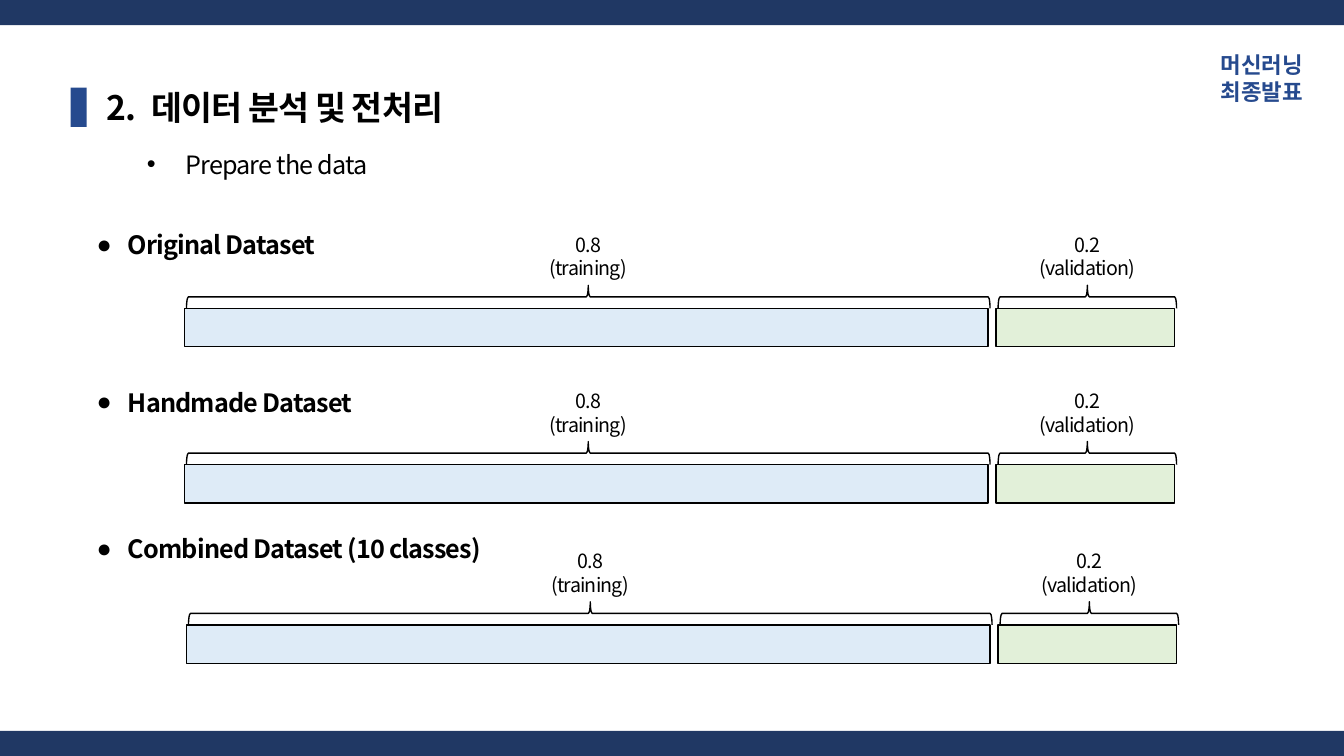
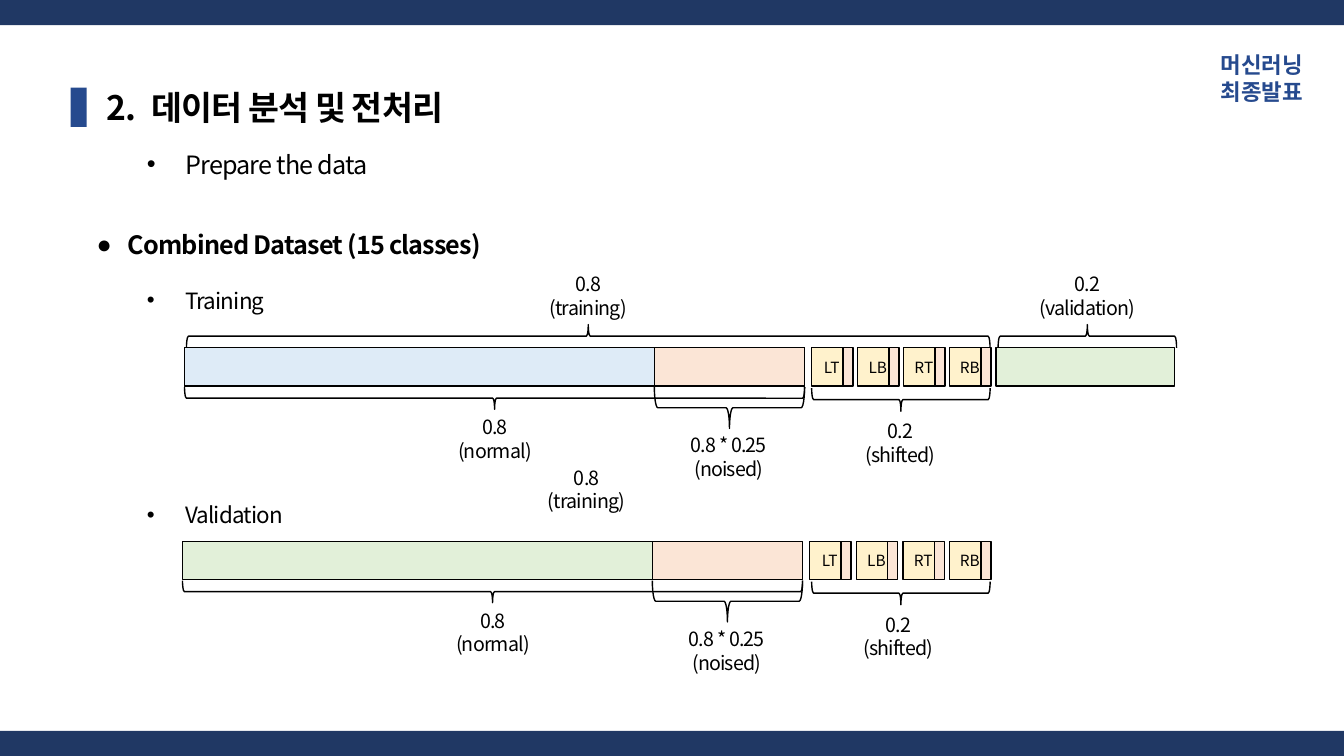
from lxml import etree
from pptx import Presentation
from pptx.dml.color import RGBColor
from pptx.enum.shapes import MSO_SHAPE
from pptx.enum.text import MSO_ANCHOR, MSO_AUTO_SIZE, PP_ALIGN
from pptx.oxml.ns import qn
from pptx.util import Inches, Pt

RECT = MSO_SHAPE.RECTANGLE
BRACE = MSO_SHAPE.RIGHT_BRACE
LEFT, MID, RIGHT = PP_ALIGN.LEFT, PP_ALIGN.CENTER, PP_ALIGN.RIGHT
MIDDLE = MSO_ANCHOR.MIDDLE
GROW = MSO_AUTO_SIZE.SHAPE_TO_FIT_TEXT
FONT = "Noto Sans CJK KR"
NAVY, ROYAL, BLACK = "203864", "264A8E", "000000"
BLUE, GREEN, PINK, CREAM = "DEEBF7", "E2F0D9", "FBE5D6", "FFF2CC"
WIDE, HIGH = 13.33, 7.5
BAR, LONG, SHORT = 0.38, 7.97, 1.77
NORMAL, NOISED, TILE, STRIP = 6.15, 1.49, 0.4, 0.1


def rgb(code):
    return RGBColor.from_string(code)


class Deck:
    """Holds the shared style and the current slide."""

    def __init__(self):
        self.prs = Presentation()
        self.prs.slide_width = Inches(WIDE)
        self.prs.slide_height = Inches(HIGH)
        self.slide = None

    def page(self):
        self.slide = self.prs.slides.add_slide(self.prs.slide_layouts[6])
        for top in (0, HIGH - 0.25):
            self.rect(0, top, WIDE, 0.25, NAVY, False)
        self.rect(0.7, 0.87, 0.16, 0.39, ROYAL, False)
        para = self.box(11.18, 0.46, 1.84, 0.37, False).paragraphs[0]
        para.alignment = RIGHT
        self.run(para, "머신러닝", 16, True, ROYAL, 0)
        para.add_line_break()
        self.run(para, "최종발표", 16, True, ROYAL, 0)
        para = self.box(0.96, 0.81, 6.67, 0.5).paragraphs[0]
        self.indent(para, 0.44, 0.44)
        self.run(para, "2.\t데이터 분석 및 전처리", 24, True)
        self.point(self.box(0.86, 1.13, 6.66, 0.62).paragraphs[0], "Prepare the data", 18)

    def shape(self, kind, x, y, w, h):
        item = self.slide.shapes.add_shape(kind, Inches(x), Inches(y), Inches(w), Inches(h))
        item.shadow.inherit = False
        item.line.color.rgb = rgb(BLACK)
        item.line.width = Pt(1)
        return item

    def rect(self, x, y, w, h, fill, edge=True):
        item = self.shape(RECT, x, y, w, h)
        item.fill.solid()
        item.fill.fore_color.rgb = rgb(fill)
        if not edge:
            item.line.fill.background()
        return item

    def brace(self, x, y, w, h, up=False):
        item = self.shape(BRACE, x + (w - h) / 2, y + (h - w) / 2, h, w)
        item.fill.background()
        item.rotation = 90
        if up:
            item._element.spPr.find(qn("a:xfrm")).set("flipH", "1")

    def box(self, x, y, w, h, wrap=True):
        frame = self.slide.shapes.add_textbox(Inches(x), Inches(y), Inches(w), Inches(h)).text_frame
        frame.word_wrap = wrap
        frame.auto_size = GROW
        return frame

    def run(self, para, text, size, bold=False, color=BLACK, space=-60):
        run = para.add_run()
        run.text = text
        font = run.font
        font.name, font.size, font.bold = FONT, Pt(size), bold
        font.color.rgb = rgb(color)
        props = run._r.get_or_add_rPr()
        etree.SubElement(props, qn("a:ea"), typeface=FONT)
        if space:
            props.set("spc", str(space))

    def indent(self, para, left, hang):
        props = para._p.get_or_add_pPr()
        props.set("marL", str(Inches(left)))
        props.set("indent", str(-Inches(hang)))
        return props

    def bullet(self, para, mark, left, hang):
        props = self.indent(para, left, hang)
        etree.SubElement(props, qn("a:buFont"), typeface="Arial")
        etree.SubElement(props, qn("a:buChar"), char=mark)
        para.line_spacing = 2.0

    def point(self, para, text, size):
        para.level = 1
        self.bullet(para, "•", 0.88, 0.38)
        self.run(para, text, size)

    def head(self, y, text):
        frame = self.box(0.86, y, 6.67, 0.62)
        self.bullet(frame.paragraphs[0], "●", 0.31, 0.31)
        self.run(frame.paragraphs[0], text, 18, True)
        return frame

    def label(self, mid, y, share, name):
        frame = self.box(mid - 0.6, y, 1.2, 0.57)
        for para, text in ((frame.paragraphs[0], share), (frame.add_paragraph(), f"({name})")):
            para.alignment = MID
            self.run(para, text, 14)

    def split(self, x, y, blue=LONG):
        parts = ((x, LONG, blue, BLUE, "0.8", "training"),
                 (x + 8.05, SHORT, SHORT, GREEN, "0.2", "validation"))
        for left, span, width, fill, share, name in parts:
            self.rect(left, y, width, BAR, fill)
            self.brace(left + 0.02, y - 0.23, span, 0.23, True)
            self.label(left + span / 2 + 0.02, y - 0.8, share, name)

    def tile(self, x, y, name):
        item = self.rect(x, y, TILE, BAR, CREAM)
        frame = item.text_frame
        frame.word_wrap = False
        frame.vertical_anchor = MIDDLE
        frame.paragraphs[0].alignment = MID
        self.run(frame.paragraphs[0], name, 11, space=0)
        self.rect(x + 0.31, y, STRIP, BAR, PINK)

    def mix(self, x, y, fill):
        noise, first, last = x + 4.66, x + 6.22, 9.42
        self.rect(x, y, NORMAL, BAR, fill)
        self.rect(noise, y, NOISED, BAR, PINK)
        for i, name in enumerate(("LT", "LB", "RT", "RB")):
            self.tile(first + i * (last - first) / 3, y, name)
        self.brace(x, y + 0.39, NORMAL, 0.22)
        self.brace(noise, y + 0.39, NOISED, 0.41)
        self.brace(8.05, y + 0.4, SHORT, 0.23)
        self.label(x + 3.08, y + 0.62, "0.8", "normal")
        self.label(x + 5.4, y + 0.8, "0.8 * 0.25", "noised")
        self.label(x + 7.1, y + 0.66, "0.2", "shifted")


def main():
    deck = Deck()
    deck.page()
    rows = ((1.93, "Original Dataset", 1.83, 3.06),
            (3.49, "Handmade Dataset", 1.83, 4.61),
            (4.94, "Combined Dataset (10 classes)", 1.85, 6.2))
    for top, title, x, y in rows:
        deck.head(top, title)
        deck.split(x, y)

    deck.page()
    frame = deck.head(1.93, "Combined Dataset (15 classes)")
    for name, gap in (("Training", 0), ("Validation", 115)):
        para = frame.add_paragraph()
        deck.point(para, name, 16)
        para.space_before = Pt(gap)
    deck.split(1.83, 3.45, NORMAL)
    deck.mix(1.83, 3.45, BLUE)
    deck.label(5.82, 4.57, "0.8", "training")
    deck.mix(1.81, 5.37, GREEN)
    deck.prs.save("out.pptx")


if __name__ == "__main__":
    main()
